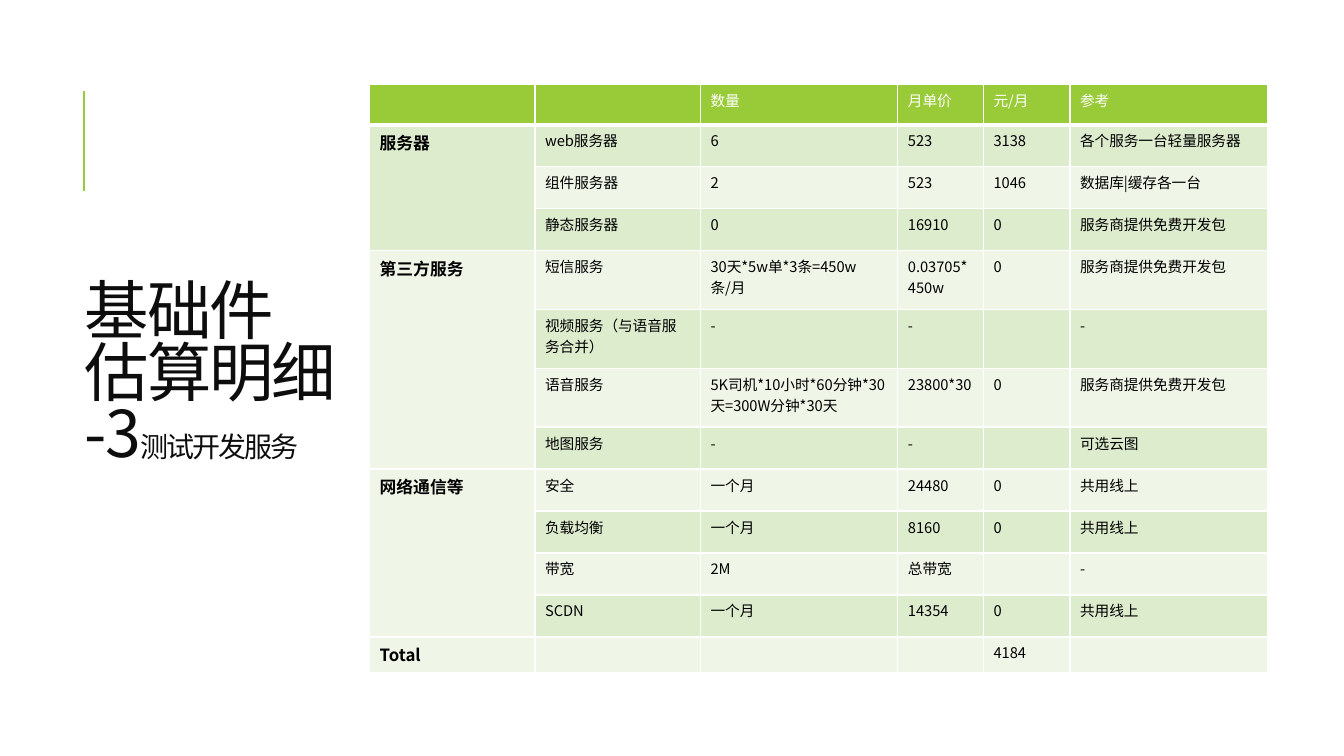
from lxml.etree import SubElement
from pptx import Presentation
from pptx.dml.color import RGBColor
from pptx.enum.shapes import MSO_CONNECTOR
from pptx.enum.text import MSO_ANCHOR, MSO_AUTO_SIZE, PP_ALIGN
from pptx.oxml.ns import qn
from pptx.util import Inches, Pt

FONT = "Noto Sans CJK SC"
GREEN, BAND_DARK, BAND_LIGHT = "99CB38", "DEECCE", "EFF6E8"
WHITE, BLACK, TITLE_INK = "FFFFFF", "000000", "0D0D0D"


def color(value):
    """Turn a hex string into a colour."""
    return RGBColor.from_string(value)


def style_span(span, size, ink, bold=False):
    """Set the size, colour, weight and typeface of a run."""
    span.font.size, span.font.bold, span.font.name = Pt(size), bold, FONT
    span.font.color.rgb = color(ink)
    SubElement(span.font._element, qn("a:ea"), typeface=FONT)


deck = Presentation()
deck.slide_width, deck.slide_height = Inches(13.33), Inches(7.5)
column, row = deck.slide_width / 16, deck.slide_height / 18
page = deck.slides.add_slide(deck.slide_layouts[5])

# Accent line above the title
accent = page.shapes.add_connector(
    MSO_CONNECTOR.STRAIGHT, int(column), int(4.56 * row), int(column), int(2.16 * row))
accent.line.color.rgb = color(GREEN)
accent.line.width = Pt(1.5)
SubElement(accent._element.spPr, qn("a:effectLst"))

# Title with a smaller subtitle on its last line
title = page.shapes.title
title.left, title.top = int(1.01 * column), int(1.68 * row)
title.width, title.height = int(3.85 * column), int(14.62 * row)
frame = title.text_frame
frame.margin_left = frame.margin_top = frame.margin_right = frame.margin_bottom = 0
frame.word_wrap, frame.auto_size = True, MSO_AUTO_SIZE.NONE
frame.vertical_anchor = MSO_ANCHOR.MIDDLE
para = frame.paragraphs[0]
para.text = "基础件\v估算明细\v-3"
para.alignment, para.line_spacing = PP_ALIGN.LEFT, 0.8
para.add_run().text = "测试开发服务"
for span in para.runs:
    style_span(span, 20 if span.text == "测试开发服务" else 46, TITLE_INK)
    span.font._element.set("spc", "-150")

# Cost table
FREE = "服务商提供免费开发包"
SHARED = "共用线上"
MONTH = "一个月"
costs = [
    ("", "", "数量", "月单价", "元/月", "参考"),
    ("服务器", "web服务器", "6", "523", "3138", "各个服务一台轻量服务器"),
    ("", "组件服务器", "2", "523", "1046", "数据库|缓存各一台"),
    ("", "静态服务器", "0", "16910", "0", FREE),
    ("第三方服务", "短信服务", "30天*5w单*3条=450w条/月", "0.03705*450w", "0", FREE),
    ("", "视频服务（与语音服务合并）", "-", "-", "", "-"),
    ("", "语音服务", "5K司机*10小时*60分钟*30天=300W分钟*30天", "23800*30", "0", FREE),
    ("", "地图服务", "-", "-", "", "可选云图"),
    ("网络通信等", "安全", MONTH, "24480", "0", SHARED),
    ("", "负载均衡", MONTH, "8160", "0", SHARED),
    ("", "带宽", "2M", "总带宽", "", "-"),
    ("", "SCDN", MONTH, "14354", "0", SHARED),
    ("Total", "", "", "", "4184", ""),
]
column_shares = [1.97, 1.97, 2.35, 1.02, 1.03, 2.35]
row_shares = [0.97] + [1] * 3 + [1.4] * 3 + [1] * 5 + [0.86]
table = page.shapes.add_table(
    len(costs), len(column_shares), int(4.4 * column), int(2 * row),
    int(sum(column_shares) * column), int(sum(row_shares) * row)).table
for table_column, share in zip(table.columns, column_shares):
    table_column.width = int(share * column)
for table_row, share in zip(table.rows, row_shares):
    table_row.height = int(share * row)

for r, texts in enumerate(costs):
    for c, text in enumerate(texts):
        cell = table.cell(r, c)
        properties = cell._tc.get_or_add_tcPr()
        for side in "LRTB":
            thick = (r, side) in [(0, "B"), (1, "T")]
            border = SubElement(properties, qn(f"a:ln{side}"), w=str(Pt(3 if thick else 1)))
            SubElement(SubElement(border, qn("a:solidFill")), qn("a:srgbClr"), val=WHITE)
        cell.fill.solid()
        band = BAND_DARK if r % 2 else BAND_LIGHT
        cell.fill.fore_color.rgb = color(band if r else GREEN)
        para = cell.text_frame.paragraphs[0]
        if text:
            para.text = text
            style_span(para.runs[0], 10.5 if c else 12, BLACK if r else WHITE, c == 0)
        SubElement(para._p, qn("a:endParaRPr"), sz="1050")

for first, last in [(1, 3), (4, 7), (8, 11)]:
    table.cell(first, 0).merge(table.cell(last, 0))

deck.save("out.pptx")
